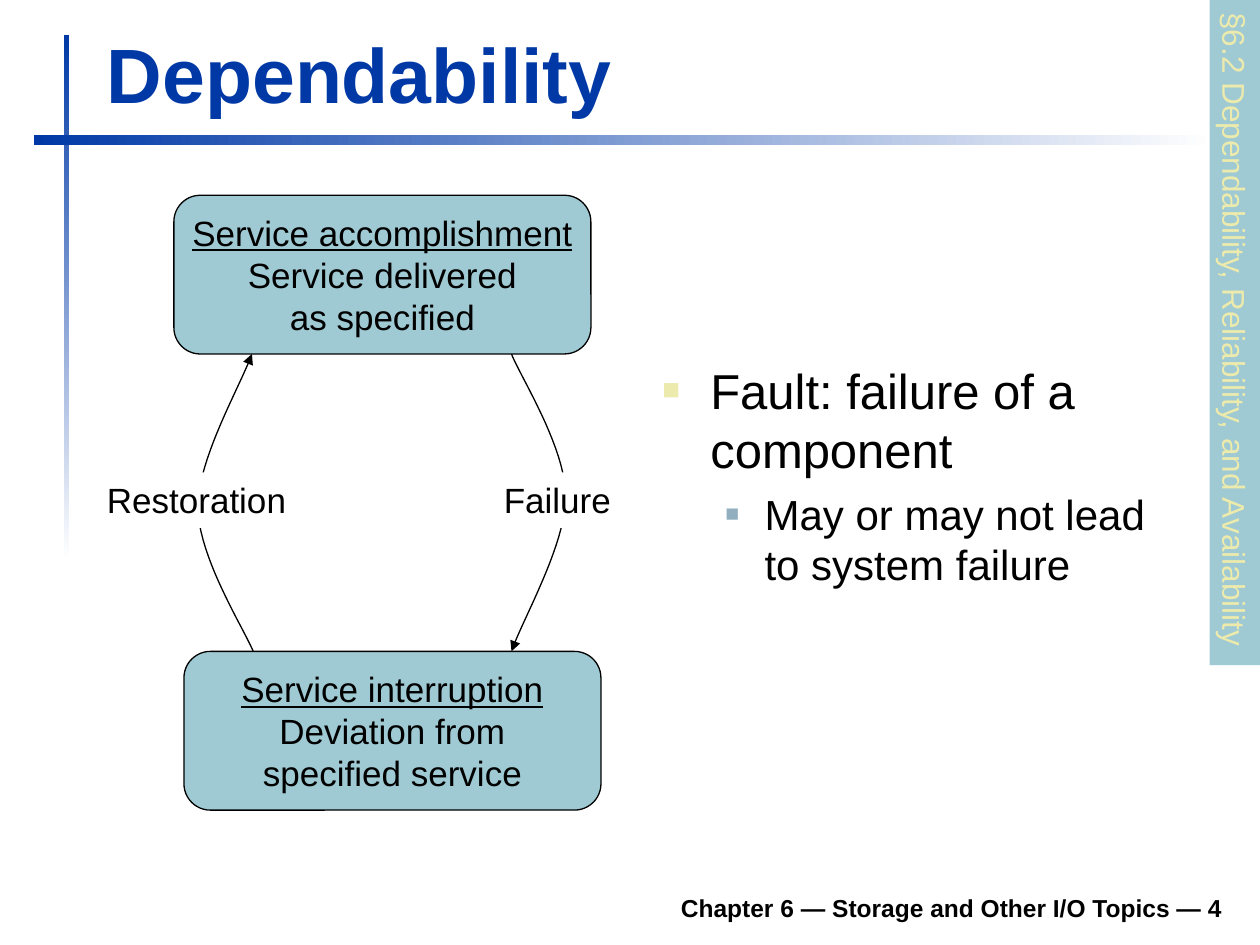
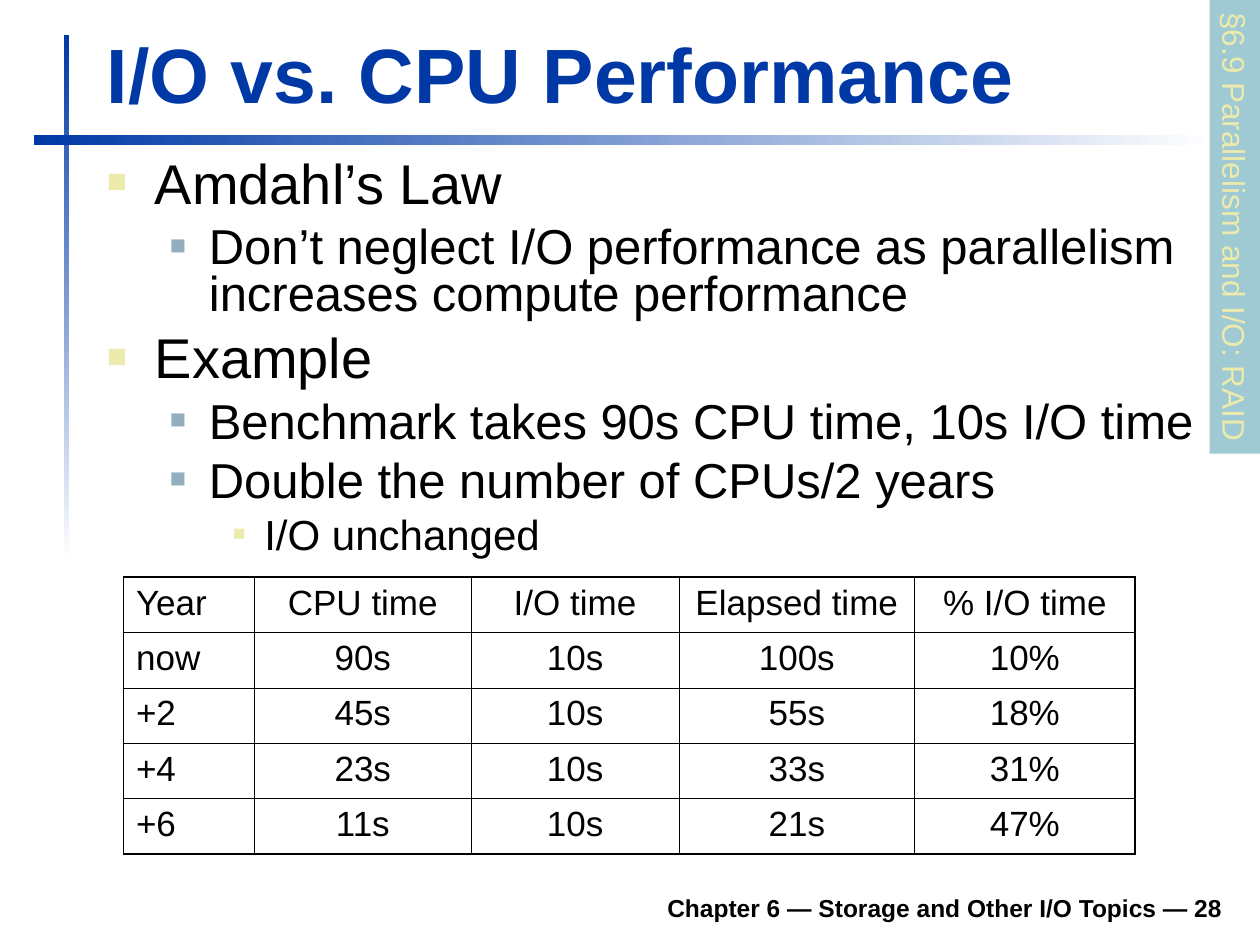
from lxml import etree
from pptx import Presentation
from pptx.dml.color import RGBColor
from pptx.enum import shapes, text
from pptx.oxml import ns
from pptx.util import Inches, Pt

FONT = "Arial"
BLACK, WHITE, BLUE, TEAL, CREAM, STEEL = "000000", "FFFFFF", "0039A6", "9FCAD3", "ECEAAC", "91AFBF"
LEFT, CENTER, RIGHT = text.PP_ALIGN.LEFT, text.PP_ALIGN.CENTER, text.PP_ALIGN.RIGHT
TOP, MIDDLE, BOTTOM = text.MSO_ANCHOR.TOP, text.MSO_ANCHOR.MIDDLE, text.MSO_ANCHOR.BOTTOM
RECTANGLE = shapes.MSO_SHAPE.RECTANGLE
# Each outline level: margin, hanging indent, bullet colour, bullet percent.
LEVELS = [(0.38, 0.38, CREAM, 60), (0.81, 0.31, STEEL, 55), (1.25, 0.25, CREAM, 50)]
FOOTER = "Chapter 6 — Storage and Other I/O Topics — "


def color(value):
    """Turn a hex string into a colour."""
    return RGBColor.from_string(value)


def add_element(parent, tag, **attributes):
    """Append a DrawingML element and return it."""
    element = etree.SubElement(parent, ns.qn(tag))
    for name, value in attributes.items():
        element.set(name, str(value))
    return element


def style_paragraph(paragraph, size, hue=BLACK, align=LEFT, bold=False, underline=False):
    """Set the alignment and font of a whole paragraph."""
    paragraph.alignment = align
    font = paragraph.font
    font.name, font.size, font.bold, font.underline = FONT, Pt(size), bold, underline
    font.color.rgb = color(hue)


def set_frame(frame, anchor=TOP, wrap=True):
    """Set the anchor and wrapping of a text frame."""
    frame.vertical_anchor = anchor
    frame.word_wrap = wrap


def add_text(slide, box, words, size, anchor=BOTTOM, **style):
    """Add a text box that holds one paragraph."""
    frame = slide.shapes.add_textbox(*map(Inches, box)).text_frame
    set_frame(frame, anchor)
    frame.text = words
    style_paragraph(frame.paragraphs[0], size, **style)


def add_panel(slide, box, fill, kind=RECTANGLE):
    """Add a flat filled shape without outline or shadow."""
    panel = slide.shapes.add_shape(kind, *map(Inches, box))
    panel.shadow.inherit = False
    panel.line.fill.background()
    panel.fill.solid()
    panel.fill.fore_color.rgb = color(fill)
    set_frame(panel.text_frame, wrap=False)
    return panel


def add_fading_bar(slide, box, angle):
    """Add a bar that fades from blue to white."""
    fill = add_panel(slide, box, BLUE).fill
    fill.gradient()
    fill.gradient_angle = angle
    for stop, hue in zip(fill.gradient_stops, (BLUE, WHITE)):
        stop.color.rgb = color(hue)


def add_side_tab(slide, words, length, thickness=0.4):
    """Add the section tab that runs down from the top right corner."""
    box = (10 - (thickness + length) / 2, (length - thickness) / 2, length, thickness)
    tab = add_panel(slide, box, TEAL)
    tab.rotation = 90
    tab.text_frame.text = words
    style_paragraph(tab.text_frame.paragraphs[0], 18, CREAM)


def add_base_slide(presentation, title, number, section, tab_length):
    """Add a slide with the shared bars, footer, title and section tab."""
    slide = presentation.slides.add_slide(presentation.slide_layouts[6])
    add_fading_bar(slide, (0.51, 0.28, 0.04, 4.17), 270)
    add_fading_bar(slide, (0.27, 1.07, 9.37, 0.08), 0)
    add_text(slide, (1.85, 6.98, 7.95, 0.39), f"{FOOTER}{number}", 14, align=RIGHT, bold=True)
    add_text(slide, (0.75, 0.16, 9.03, 0.83), title, 44, hue=BLUE, bold=True)
    add_side_tab(slide, section, tab_length)
    return slide


def add_outline(slide, box, items, sizes, spacing=1.0):
    """Add a bulleted outline from pairs of level and words."""
    frame = slide.shapes.add_textbox(*map(Inches, box)).text_frame
    set_frame(frame)
    for index, (level, words) in enumerate(items):
        paragraph = frame.add_paragraph() if index else frame.paragraphs[0]
        paragraph.text, paragraph.level = words, level
        paragraph.line_spacing = spacing
        if index:
            paragraph.space_before = Pt(sizes[level] // 4)
        margin, hanging, hue, percent = LEVELS[level]
        properties = paragraph._p.get_or_add_pPr()
        properties.set("marL", str(Inches(margin)))
        properties.set("indent", str(-Inches(hanging)))
        add_element(add_element(properties, "a:buClr"), "a:srgbClr", val=hue)
        add_element(properties, "a:buSzPct", val=percent * 1000)
        add_element(properties, "a:buFont", typeface=FONT)
        add_element(properties, "a:buChar", char="■")
        style_paragraph(paragraph, sizes[level])


def add_state(slide, left, top, heading, detail):
    """Add a rounded service state with an underlined heading."""
    state = add_panel(slide, (left, top, 3.31, 1.26), TEAL, shapes.MSO_SHAPE.ROUNDED_RECTANGLE)
    state.line.color.rgb = color(BLACK)
    state.line.width = Pt(0.75)
    frame = state.text_frame
    set_frame(frame, MIDDLE, wrap=False)
    frame.text = heading
    style_paragraph(frame.paragraphs[0], 20, align=CENTER, underline=True)
    paragraph = frame.add_paragraph()
    paragraph.text = detail
    style_paragraph(paragraph, 20, align=CENTER)


def bezier_points(start, first, second, end, steps=20):
    """Return points along a cubic curve, without its start."""
    points = []
    for step in range(1, steps + 1):
        t = step / steps
        weights = ((1 - t) ** 3, 3 * t * (1 - t) ** 2, 3 * t * t * (1 - t), t ** 3)
        points.append(tuple(
            Inches(sum(weight * value for weight, value in zip(weights, axis)))
            for axis in zip(start, first, second, end)))
    return points


def add_transition(slide, curve, label_box, label):
    """Add a curved arrow through seven control points and its label."""
    builder = slide.shapes.build_freeform(*map(Inches, curve[0]))
    builder.add_line_segments(bezier_points(*curve[:4]) + bezier_points(*curve[3:]), close=False)
    arrow = builder.convert_to_shape()
    arrow.shadow.inherit = False
    arrow.fill.background()
    arrow.line.color.rgb = color(BLACK)
    arrow.line.width = Pt(0.75)
    add_element(arrow.line._get_or_add_ln(), "a:tailEnd", type="triangle")
    frame = add_panel(slide, label_box, WHITE).text_frame
    frame.text = label
    style_paragraph(frame.paragraphs[0], 20)


def edge_width(index, count):
    """Return the rule width in points: outer, after the header, or inner."""
    if index in (0, count):
        return 1.08
    return 0.75 if index == 1 else 0.45


def set_borders(cell, row, column, row_count, column_count):
    """Draw the four rules of a table cell."""
    edges = {
        "a:lnL": edge_width(column, column_count),
        "a:lnR": edge_width(column + 1, column_count),
        "a:lnT": edge_width(row, row_count),
        "a:lnB": edge_width(row + 1, row_count),
    }
    properties = cell._tc.get_or_add_tcPr()
    for tag, width in edges.items():
        line = add_element(properties, tag, w=int(Pt(width)))
        add_element(add_element(line, "a:solidFill"), "a:srgbClr", val=BLACK)


def add_time_table(slide, left, top, rows, widths, row_height):
    """Add the ruled table of times."""
    box = (left, top, sum(widths), row_height * len(rows))
    table = slide.shapes.add_table(len(rows), len(widths), *map(Inches, box)).table
    table.first_row = table.horz_banding = False
    for column, width in zip(table.columns, widths):
        column.width = Inches(width)
    for row_index, values in enumerate(rows):
        for column_index, value in enumerate(values):
            cell = table.cell(row_index, column_index)
            cell.text = value
            style_paragraph(cell.text_frame.paragraphs[0], 20, align=CENTER if column_index else LEFT)
            set_borders(cell, row_index, column_index, len(rows), len(widths))
            cell.fill.background()


def build_dependability(presentation):
    """Build the slide on service states and faults."""
    slide = add_base_slide(presentation, "Dependability", 4,
                           "§6.2 Dependability, Reliability, and Availability", 5.28)
    add_outline(slide, (5.16, 2.81, 4.33, 4.02), [
        (0, "Fault: failure of a component"),
        (1, "May or may not lead to system failure"),
    ], (28, 24))
    add_state(slide, 1.38, 1.55, "Service accomplishment", "Service delivered\nas specified")
    add_state(slide, 1.46, 5.17, "Service interruption", "Deviation from\nspecified service")
    add_transition(slide, [(4.06, 2.81), (4.13, 2.99), (4.49, 3.55), (4.49, 3.94),
                           (4.49, 4.33), (4.15, 4.91), (4.06, 5.17)],
                   (3.9, 3.75, 1.05, 0.44), "Failure")
    add_transition(slide, [(2.01, 5.17), (1.93, 4.98), (1.58, 4.43), (1.57, 4.03),
                           (1.57, 3.64), (1.91, 3.06), (2, 2.81)],
                   (0.75, 3.75, 1.62, 0.44), "Restoration")


def build_performance(presentation):
    """Build the slide on processor and I/O times."""
    slide = add_base_slide(presentation, "I/O vs. CPU Performance", 28,
                           "§6.9 Parallelism and I/O: RAID", 3.6)
    add_outline(slide, (0.75, 1.23, 9.04, 3.31), [
        (0, "Amdahl’s Law"),
        (1, "Don’t neglect I/O performance as parallelism increases compute performance"),
        (0, "Example"),
        (1, "Benchmark takes 90s CPU time, 10s I/O time"),
        (1, "Double the number of CPUs/2 years"),
        (2, "I/O unchanged"),
    ], (32, 28, 24), spacing=0.8)
    add_time_table(slide, 0.98, 4.58, [
        ("Year", "CPU time", "I/O time", "Elapsed time", "% I/O time"),
        ("now", "90s", "10s", "100s", "10%"),
        ("+2", "45s", "10s", "55s", "18%"),
        ("+4", "23s", "10s", "33s", "31%"),
        ("+6", "11s", "10s", "21s", "47%"),
    ], (1.04, 1.72, 1.65, 1.87, 1.75), 0.44)


def main():
    """Build and save the presentation."""
    presentation = Presentation()
    presentation.slide_width, presentation.slide_height = Inches(10), Inches(7.5)
    build_dependability(presentation)
    build_performance(presentation)
    presentation.save("out.pptx")


if __name__ == "__main__":
    main()
